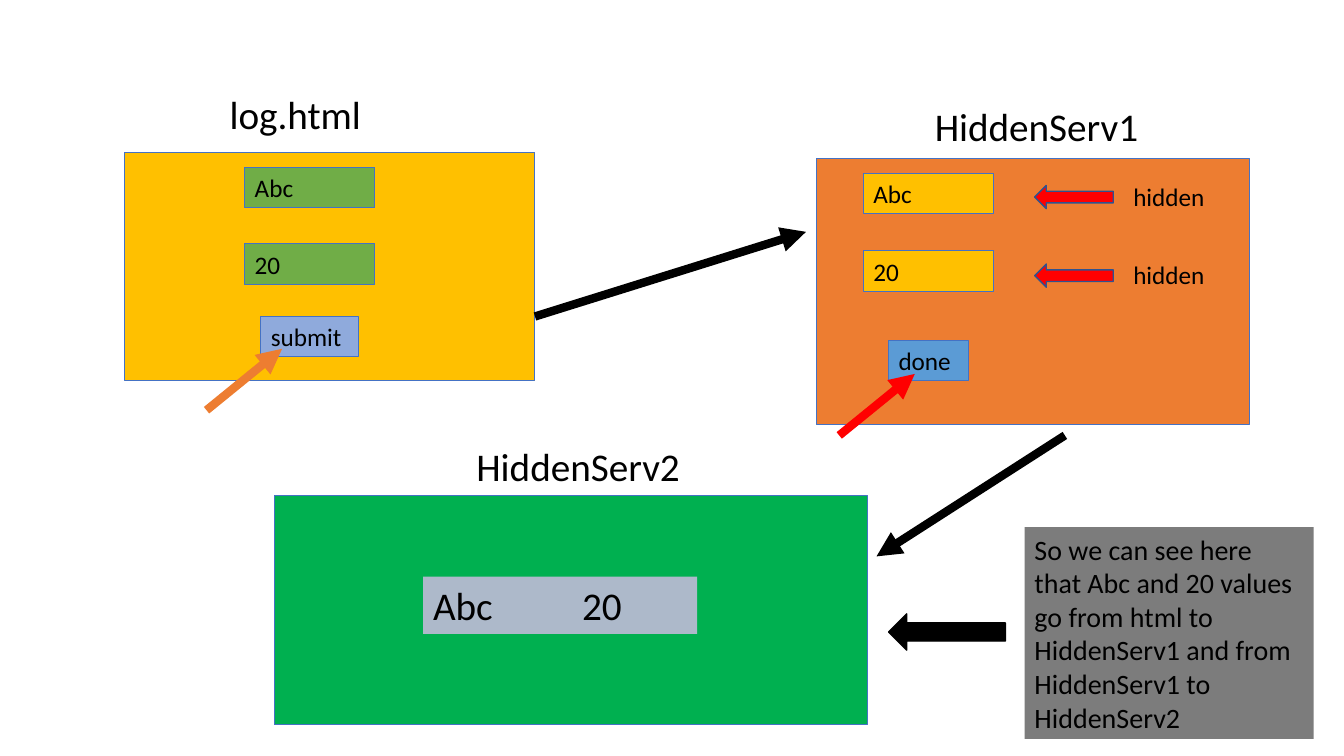
import pptx
import pptx.util
import pptx.dml.color
import pptx.enum.shapes
import pptx.enum.text
import pptx.oxml.ns
from lxml import etree

PX = 9144  # 100 px to the inch
FONT = "Calibri"
EDGE = "4472C4"
BLACK = "000000"

# left, top, width, height, fill
panels = [
    (124, 151, 407, 227, "FFC000"),
    (810, 157, 430, 264, "ED7D31"),
    (272, 492, 589, 227, "00B050"),
]
# text, left, top, width, height, size
labels = [
    ("log.html", 218, 85, 178, 57, 28),
    ("HiddenServ1", 918, 97, 279, 57, 28),
    ("HiddenServ2", 463, 434, 238, 57, 28),
    ("hidden", 1115, 175, 92, 40, 18),
    ("hidden", 1115, 252, 92, 40, 18),
]
# text, left, top, width, height, size, fill, line
fields = [
    ("Abc", 243, 166, 129, 40, 18, "70AD47", EDGE),
    ("20", 243, 242, 129, 40, 18, "70AD47", EDGE),
    ("submit", 259, 314, 97, 40, 18, "8FAADC", EDGE),
    ("Abc", 857, 172, 129, 40, 18, "FFC000", EDGE),
    ("20", 857, 249, 129, 40, 18, "FFC000", EDGE),
    ("done", 882, 338, 79, 40, 18, "5B9BD5", EDGE),
    ("Abc\t20", 420, 572, 272, 57, 28, "ADB9CA", None),
    ("So we can see here that Abc and 20 values go from html to HiddenServ1 "
     "and from HiddenServ1 to HiddenServ2", 1017, 523, 287, 210, 20, "7C7C7C", None),
]
VALUE_TAB = 148
# from x, from y, to x, to y, colour
arrows = [
    (205, 407, 280, 346, "ED7D31"),
    (531, 314, 800, 230, BLACK),
    (833, 432, 908, 371, "FF0000"),
    (1057, 432, 870, 552, BLACK),
]
# left, top, width, height, fill, line
block_arrows = [
    (1027, 184, 78, 23, "FF0000", "2F528F"),
    (1027, 262, 78, 23, "FF0000", "2F528F"),
    (882, 609, 116, 36, BLACK, BLACK),
]


def color(value):
    return pptx.dml.color.RGBColor.from_string(value)


def px(*lengths):
    return [n * PX for n in lengths]


def add_block(kind, box, fill, line, weight=0.75):
    s = shapes.add_shape(kind, *px(*box))
    s.shadow.inherit = False
    s.fill.solid()
    s.fill.fore_color.rgb = color(fill)
    if line:
        s.line.color.rgb = color(line)
        s.line.width = pptx.util.Pt(weight)
    else:
        s.line.fill.background()
    return s


def write(s, text, size):
    tf = s.text_frame
    tf.word_wrap = True
    tf.auto_size = pptx.enum.text.MSO_AUTO_SIZE.SHAPE_TO_FIT_TEXT
    tf.vertical_anchor = pptx.enum.text.MSO_ANCHOR.TOP
    p = tf.paragraphs[0]
    p.text = text
    p.alignment = pptx.enum.text.PP_ALIGN.LEFT
    if "\t" in text:
        tabs = etree.SubElement(p._p.get_or_add_pPr(), pptx.oxml.ns.qn("a:tabLst"))
        etree.SubElement(tabs, pptx.oxml.ns.qn("a:tab"), pos=str(VALUE_TAB * PX), algn="l")
    p.font.name = FONT
    p.font.size = pptx.util.Pt(size)
    p.font.color.rgb = color(BLACK)


prs = pptx.Presentation()
prs.slide_width, prs.slide_height = px(1334, 750)
shapes = prs.slides.add_slide(prs.slide_layouts[6]).shapes
RECT = pptx.enum.shapes.MSO_SHAPE.RECTANGLE

# Page panels
for *box, fill in panels:
    add_block(RECT, box, fill, EDGE)

# Titles and side labels
for text, *box, size in labels:
    write(shapes.add_textbox(*px(*box)), text, size)

# Fields, buttons and the note
for text, *box, size, fill, line in fields:
    write(add_block(RECT, box, fill, line), text, size)

# Thick line arrows
for *ends, stroke in arrows:
    s = shapes.add_connector(pptx.enum.shapes.MSO_CONNECTOR.STRAIGHT, *px(*ends))
    s.line.color.rgb = color(stroke)
    s.line.width = pptx.util.Pt(6)
    etree.SubElement(s.line._get_or_add_ln(), pptx.oxml.ns.qn("a:tailEnd"), type="triangle")
    etree.SubElement(s._element.spPr, pptx.oxml.ns.qn("a:effectLst"))

# Block arrows
for *box, fill, line in block_arrows:
    add_block(pptx.enum.shapes.MSO_SHAPE.LEFT_ARROW, box, fill, line, 1)

prs.save("out.pptx")
